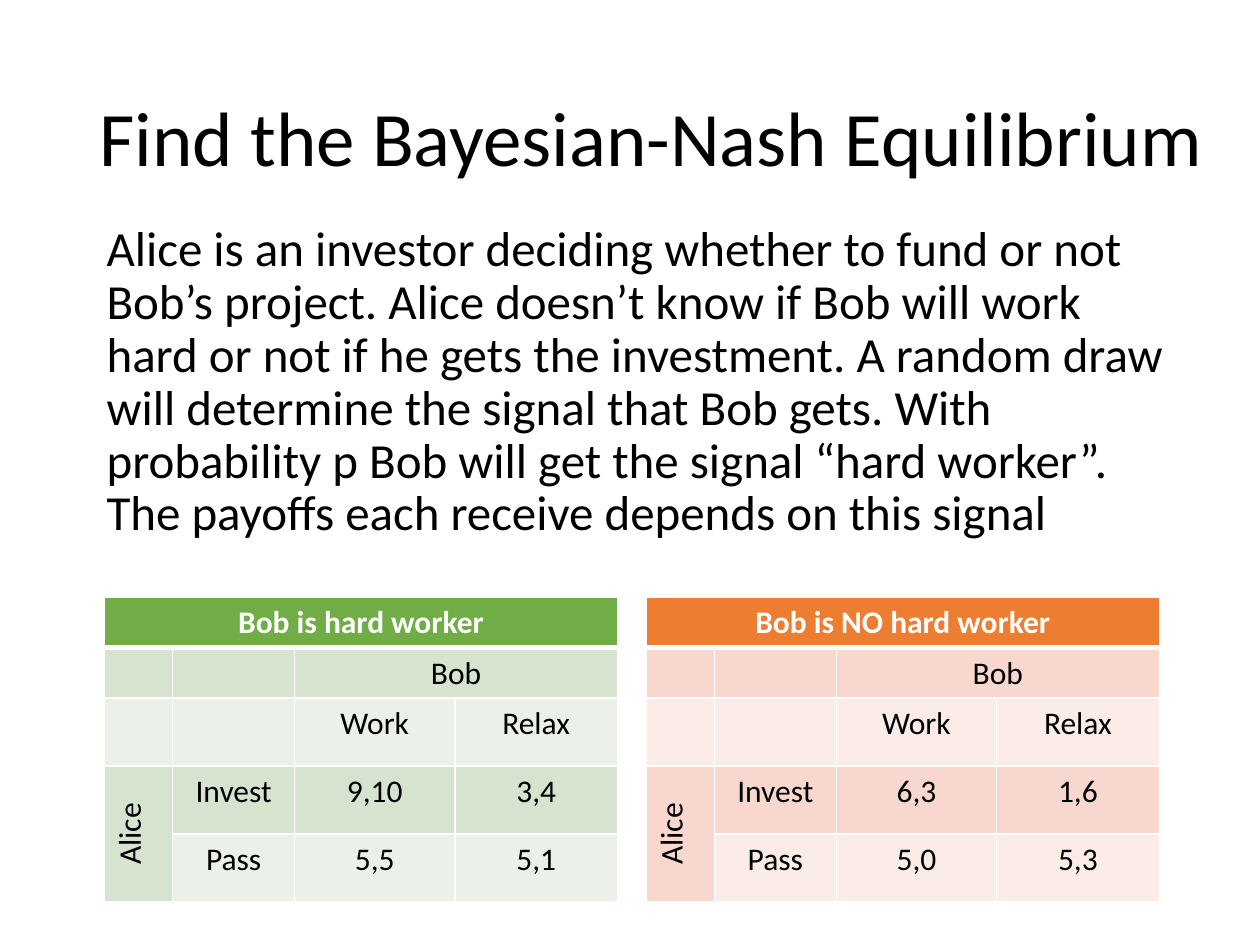
from dataclasses import dataclass

from lxml.etree import SubElement
from pptx import Presentation
from pptx.dml.color import RGBColor
from pptx.enum.text import MSO_ANCHOR, PP_ALIGN
from pptx.oxml.ns import qn
from pptx.util import Cm, Pt


@dataclass(frozen=True)
class Theme:
    font: str = "Calibri"
    ink: str = "000000"
    paper: str = "FFFFFF"
    title_size: int = 44
    body_size: int = 28
    table_size: int = 18
    grid_width: float = 1
    header_rule_width: float = 3


@dataclass(frozen=True)
class Game:
    heading: str
    left: float
    header_fill: str
    dark_band: str
    light_band: str
    invest: tuple[str, str]
    passing: tuple[str, str]


THEME = Theme()
GAMES_TOP = 12.04
COLUMN_WIDTHS = (1.37, 2.46, 3.23, 3.28)
ROW_HEIGHTS = (1, 1, 1.37, 1.37, 1.37)
MERGES = (((0, 0), (0, 3)), ((1, 2), (1, 3)), ((3, 0), (4, 0)))
GAMES = (
    Game("Bob is hard worker", 2.11, "70AD47", "D5E3CF", "EBF1E9",
         ("9,10", "3,4"), ("5,5", "5,1")),
    Game("Bob is NO hard worker", 13.03, "ED7D31", "F8D7CE", "FCECE8",
         ("6,3", "1,6"), ("5,0", "5,3")),
)
PROBLEM = (
    "Alice is an investor deciding whether to fund or not Bob’s project. "
    "Alice doesn’t know if Bob will work hard or not if he gets the investment. "
    "A random draw will determine the signal that Bob gets. "
    "With probability p Bob will get the signal “hard worker”. "
    "The payoffs each receive depends on this signal"
)


def write(frame, text: str, *, size: int, color: str = THEME.ink, bold: bool = False,
          align=PP_ALIGN.LEFT, spacing: float = 1.0) -> None:
    paragraph = frame.paragraphs[0]
    paragraph.alignment = align
    paragraph.line_spacing = spacing
    paragraph.font.size = Pt(size)
    if not text:
        return
    run = paragraph.add_run()
    run.text = text
    run.font.name = THEME.font
    run.font.size = Pt(size)
    run.font.bold = bold
    run.font.color.rgb = RGBColor.from_string(color)


def add_passage(slide, text: str, left: float, top: float, width: float, height: float,
                size: int, anchor=MSO_ANCHOR.TOP) -> None:
    frame = slide.shapes.add_textbox(Cm(left), Cm(top), Cm(width), Cm(height)).text_frame
    frame.word_wrap = True
    frame.vertical_anchor = anchor
    write(frame, text, size=size, spacing=0.9)


def rule_cell(cell, row: int) -> None:
    properties = cell._tc.get_or_add_tcPr()
    heavy_side = {0: "lnB", 1: "lnT"}.get(row)
    for side in ("lnL", "lnR", "lnT", "lnB"):
        width = THEME.header_rule_width if side == heavy_side else THEME.grid_width
        line = SubElement(properties, qn(f"a:{side}"), w=str(Pt(width)))
        fill = SubElement(line, qn("a:solidFill"))
        SubElement(fill, qn("a:srgbClr"), val=THEME.paper)


def add_game(slide, game: Game) -> None:
    rows = (
        (game.heading, "", "", ""),
        ("", "", "Bob", ""),
        ("", "", "Work", "Relax"),
        ("Alice", "Invest", *game.invest),
        ("", "Pass", *game.passing),
    )
    table = slide.shapes.add_table(
        len(rows), len(COLUMN_WIDTHS), Cm(game.left), Cm(GAMES_TOP),
        Cm(sum(COLUMN_WIDTHS)), Cm(sum(ROW_HEIGHTS))).table
    for column, width in zip(table.columns, COLUMN_WIDTHS):
        column.width = Cm(width)
    for row, height in zip(table.rows, ROW_HEIGHTS):
        row.height = Cm(height)
    for start, end in MERGES:
        table.cell(*start).merge(table.cell(*end))

    for r, texts in enumerate(rows):
        header = r == 0
        band = game.header_fill if header else game.dark_band if r % 2 else game.light_band
        for c, text in enumerate(texts):
            cell = table.cell(r, c)
            rule_cell(cell, r)
            cell.fill.solid()
            cell.fill.fore_color.rgb = RGBColor.from_string(band)
            write(cell.text_frame, text, size=THEME.table_size, bold=header,
                  color=THEME.paper if header else THEME.ink, align=PP_ALIGN.CENTER)
    table.cell(3, 0)._tc.get_or_add_tcPr().set("vert", "vert270")


def main() -> None:
    deck = Presentation()
    deck.slide_width, deck.slide_height = Cm(25.4), Cm(19.05)
    slide = deck.slides.add_slide(deck.slide_layouts[6])
    add_passage(slide, "Find the Bayesian-Nash Equilibrium", 1.75, 1.02, 22.81, 3.68,
                THEME.title_size, MSO_ANCHOR.MIDDLE)
    add_passage(slide, PROBLEM, 1.9, 4.39, 21.89, 6.73, THEME.body_size)
    for game in GAMES:
        add_game(slide, game)
    deck.save("out.pptx")


if __name__ == "__main__":
    main()
